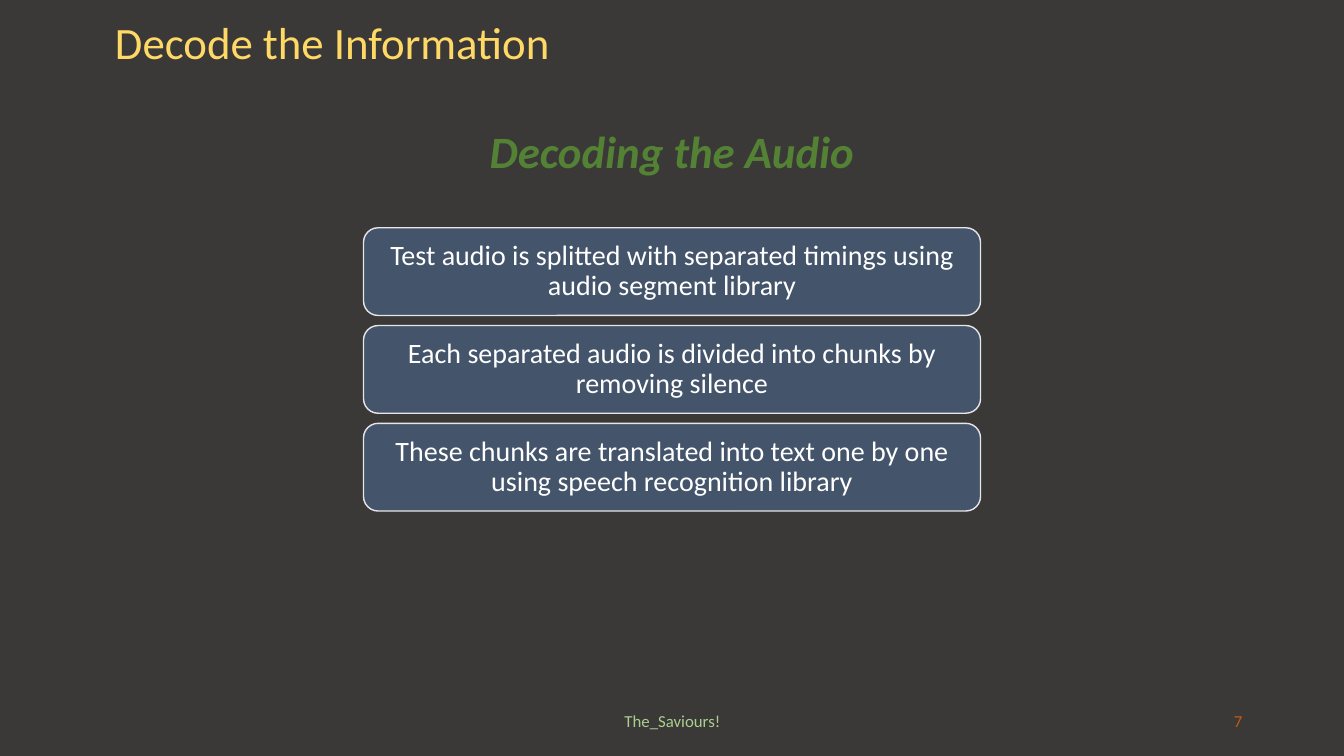
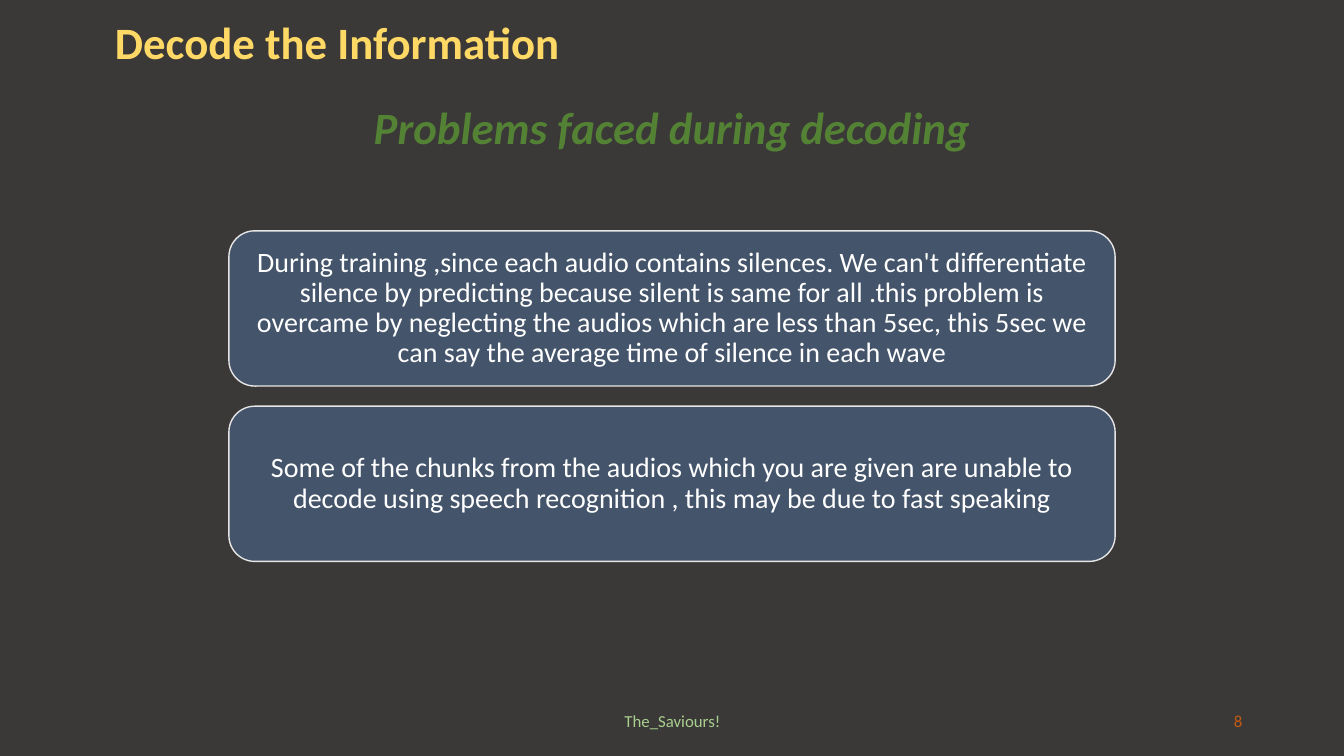
from dataclasses import dataclass

from pptx import Presentation
from pptx.dml.color import RGBColor
from pptx.enum.shapes import MSO_SHAPE
from pptx.enum.text import MSO_ANCHOR, PP_ALIGN
from pptx.util import Inches, Pt

FONT = "Calibri"
WIDE, HIGH = 13.33, 7.5
DARK = "3B3838"
GOLD = "FFD966"
GREEN = "548235"
LIME = "A9D18E"
RUST = "C55A11"
SLATE = "44546A"
PALE = "E7E6E6"
WHITE = "FFFFFF"


@dataclass
class Style:
    size: float
    color: str
    align: PP_ALIGN
    bold: bool = False
    slant: bool = False


@dataclass
class Stack:
    top: float
    width: float
    height: float
    gap: float
    items: list[str]


@dataclass
class Page:
    number: int
    bold: bool
    head: str
    head_top: float
    stack: Stack


HEAD = Style(32, GREEN, PP_ALIGN.CENTER, True, True)
CARD = Style(20, WHITE, PP_ALIGN.CENTER)
TEAM = Style(12, LIME, PP_ALIGN.CENTER)
COUNT = Style(12, RUST, PP_ALIGN.RIGHT)

PAGES = [
    Page(7, False, "Decoding the Audio", 1.17, Stack(2.26, 6.12, 0.87, 0.1, [
        "Test audio is splitted with separated timings using audio segment library",
        "Each separated audio is divided into chunks by removing silence",
        "These chunks are translated into text one by one using speech "
        "recognition library",
    ])),
    Page(8, True, "Problems faced during decoding", 0.94, Stack(2.29, 8.79, 1.54, 0.2, [
        "During training ,since each audio contains silences. We can't "
        "differentiate silence by predicting because silent is same for all "
        ".this problem is overcame by neglecting the audios which are less "
        "than 5sec, this 5sec we can say the average time of silence in each wave",
        "Some of the chunks from the audios which you are given are unable to "
        "decode using speech recognition , this may be due to fast speaking",
    ])),
]


def paint(target, color: str) -> None:
    if hasattr(target, "solid"):
        target.solid()
        target = target.fore_color
    target.rgb = RGBColor.from_string(color)


def write(shape, text: str, style: Style) -> None:
    frame = shape.text_frame
    frame.word_wrap = True
    frame.vertical_anchor = MSO_ANCHOR.MIDDLE
    frame.text = text
    para = frame.paragraphs[0]
    para.alignment = style.align
    font = para.font
    font.name = FONT
    font.size = Pt(style.size)
    font.bold = style.bold
    font.italic = style.slant
    paint(font.color, style.color)


def label(slide, text: str, style: Style, left: float, top: float,
          width: float, height: float) -> None:
    box = slide.shapes.add_textbox(
        Inches(left), Inches(top), Inches(width), Inches(height))
    write(box, text, style)


def title(slide, bold: bool) -> None:
    shape = slide.shapes.title
    shape.left, shape.top = Inches(1.04), Inches(0.09)
    shape.width, shape.height = Inches(11.25), Inches(0.64)
    write(shape, "Decode the Information", Style(32, GOLD, PP_ALIGN.LEFT, bold))


def cards(slide, stack: Stack) -> None:
    left = (WIDE - stack.width) / 2
    for row, text in enumerate(stack.items):
        top = stack.top + row * (stack.height + stack.gap)
        card = slide.shapes.add_shape(
            MSO_SHAPE.ROUNDED_RECTANGLE, Inches(left), Inches(top),
            Inches(stack.width), Inches(stack.height))
        card.shadow.inherit = False
        paint(card.fill, SLATE)
        paint(card.line.fill, PALE)
        card.line.width = Pt(1)
        write(card, text, CARD)
        frame = card.text_frame
        frame.margin_left = frame.margin_right = Inches(0.08)
        frame.margin_top = frame.margin_bottom = Inches(0.08)
        frame.paragraphs[0].line_spacing = 0.9


def main() -> None:
    deck = Presentation()
    deck.slide_width, deck.slide_height = Inches(WIDE), Inches(HIGH)
    paint(deck.slide_master.background.fill, DARK)
    for page in PAGES:
        slide = deck.slides.add_slide(deck.slide_layouts[5])
        title(slide, page.bold)
        label(slide, "The_Saviours!", TEAM, 4.42, 6.95, 4.5, 0.4)
        label(slide, str(page.number), COUNT, 9.42, 6.95, 3, 0.4)
        label(slide, page.head, HEAD, 2.27, page.head_top, 8.79, 0.64)
        cards(slide, page.stack)
    deck.save("out.pptx")


if __name__ == "__main__":
    main()
